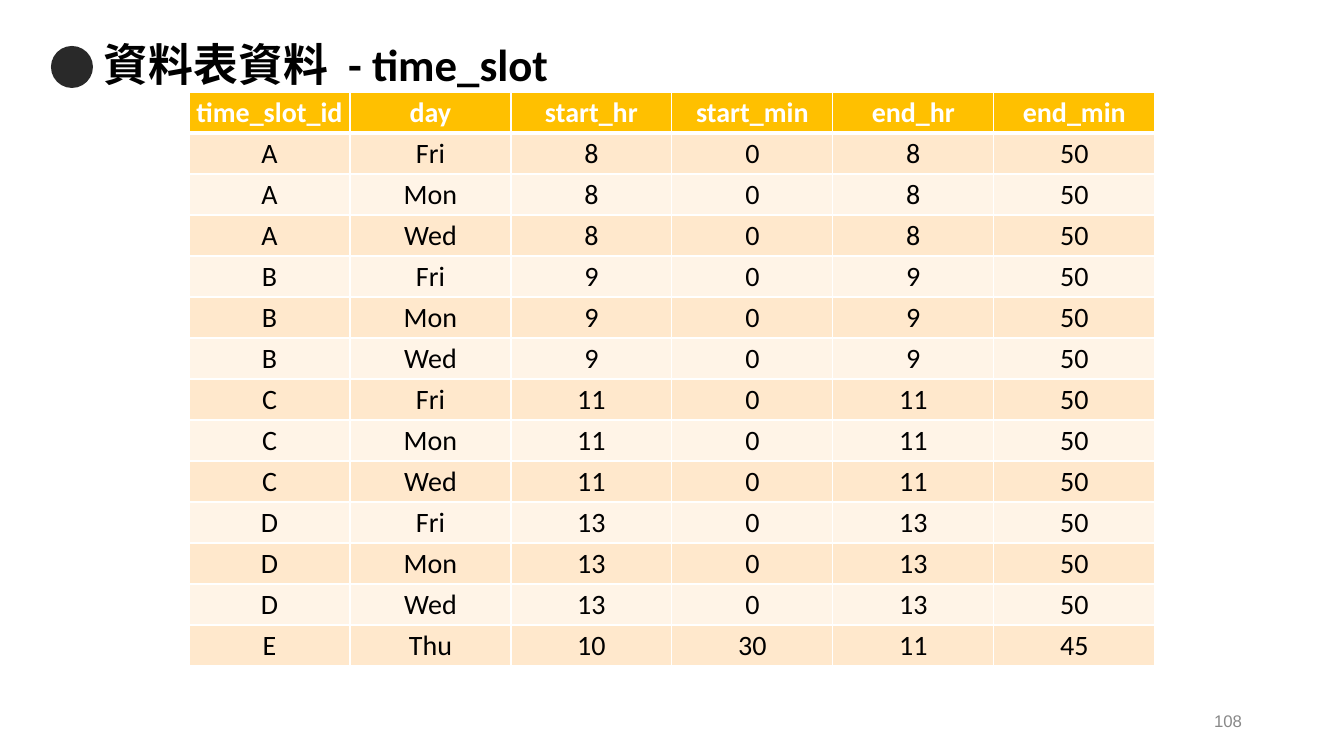
from lxml import etree
from pptx import Presentation
from pptx.dml.color import RGBColor
from pptx.enum.shapes import MSO_SHAPE
from pptx.enum.text import MSO_ANCHOR, PP_ALIGN
from pptx.oxml.ns import qn
from pptx.util import Emu, Pt

OVAL = MSO_SHAPE.OVAL
MIDDLE = MSO_ANCHOR.MIDDLE
LEFT, CENTER, RIGHT = PP_ALIGN.LEFT, PP_ALIGN.CENTER, PP_ALIGN.RIGHT

BLACK = RGBColor(0x00, 0x00, 0x00)
WHITE = RGBColor(0xFF, 0xFF, 0xFF)
CHARCOAL = RGBColor(0x29, 0x29, 0x29)
GRAY = RGBColor(0x88, 0x88, 0x88)
AMBER = RGBColor(0xFF, 0xC0, 0x00)
PEACH = RGBColor(0xFF, 0xE8, 0xCC)
CREAM = RGBColor(0xFF, 0xF4, 0xE7)

PAGE_WIDTH, PAGE_HEIGHT = 1344, 756
COLUMN_WIDTH, ROW_HEIGHT = 161, 41

HEADINGS = ["time_slot_id", "day", "start_hr", "start_min", "end_hr", "end_min"]
MORNING_SLOTS = [("A", 8), ("B", 9), ("C", 11), ("D", 13)]
DAYS = ["Fri", "Mon", "Wed"]
TIME_SLOTS = [(slot, day, hour, 0, hour, 50)
              for slot, hour in MORNING_SLOTS for day in DAYS]
TIME_SLOTS.append(("E", "Thu", 10, 30, 11, 45))


def px(length):
    return Emu(round(length * 12192000 / PAGE_WIDTH))


def add_span(para, text, size, color, bold=False, font="Calibri"):
    span = para.add_run()
    span.text = text
    span.font.name = font
    span.font.size = Pt(size)
    span.font.bold = bold
    span.font.color.rgb = color
    return span


def add_text_box(page, left, top, width, height, align):
    box = page.shapes.add_textbox(px(left), px(top), px(width), px(height))
    frame = box.text_frame
    frame.word_wrap = True
    frame.vertical_anchor = MIDDLE
    para = frame.paragraphs[0]
    para.alignment = align
    return para


def add_bullet_disc(page, left, top, diameter):
    disc = page.shapes.add_shape(OVAL, px(left), px(top), px(diameter), px(diameter))
    disc.shadow.inherit = False
    disc.fill.solid()
    disc.fill.fore_color.rgb = CHARCOAL
    disc.line.fill.background()


def add_title(page):
    para = add_text_box(page, 94, 35, 1158, 65, LEFT)
    para.line_spacing = 0.9
    add_span(para, "資料表資料", 32, BLACK, bold=True)
    gap = add_span(para, " ", 32, BLACK, bold=True)
    gap.font._element.set("spc", "700")
    add_span(para, "- time_slot", 32, BLACK, bold=True)


def set_borders(cell, top, bottom):
    properties = cell._tc.get_or_add_tcPr()
    widths = [("a:lnL", 1), ("a:lnR", 1), ("a:lnT", top), ("a:lnB", bottom)]
    for position, (side, width) in enumerate(widths):
        line = etree.Element(qn(side), w=str(Pt(width)))
        fill = etree.SubElement(line, qn("a:solidFill"))
        etree.SubElement(fill, qn("a:srgbClr"), val=str(WHITE))
        properties.insert(position, line)


def fill_cell(cell, text, background, color, bold):
    cell.vertical_anchor = MIDDLE
    cell.margin_left = cell.margin_right = cell.margin_top = px(1)
    cell.margin_bottom = 0
    cell.fill.solid()
    cell.fill.fore_color.rgb = background
    para = cell.text_frame.paragraphs[0]
    para.alignment = CENTER
    add_span(para, text, 20, color, bold)


def add_slot_table(page, left, top):
    rows = [HEADINGS, *TIME_SLOTS]
    frame = page.shapes.add_table(
        len(rows), len(HEADINGS), px(left), px(top),
        px(COLUMN_WIDTH * len(HEADINGS)), px(ROW_HEIGHT * len(rows)))
    table = frame.table
    for column in table.columns:
        column.width = px(COLUMN_WIDTH)
    for row_index, values in enumerate(rows):
        table.rows[row_index].height = px(ROW_HEIGHT)
        heading = row_index == 0
        band = PEACH if row_index % 2 else CREAM
        for column_index, value in enumerate(values):
            cell = table.cell(row_index, column_index)
            fill_cell(cell, str(value), AMBER if heading else band,
                      WHITE if heading else BLACK, heading)
            set_borders(cell, top=3 if row_index == 1 else 1,
                        bottom=3 if heading else 1)


def main():
    deck = Presentation()
    deck.slide_width, deck.slide_height = px(PAGE_WIDTH), px(PAGE_HEIGHT)
    page = deck.slides.add_slide(deck.slide_layouts[6])

    # Title with its disc
    add_bullet_disc(page, 51, 46, 42)
    add_title(page)

    # Page number
    number = add_text_box(page, 950, 701, 302, 40, RIGHT)
    add_span(number, "108", 12, GRAY, font="Arial")

    # Time slot table
    add_slot_table(page, 189, 92)

    deck.save("out.pptx")


if __name__ == "__main__":
    main()
